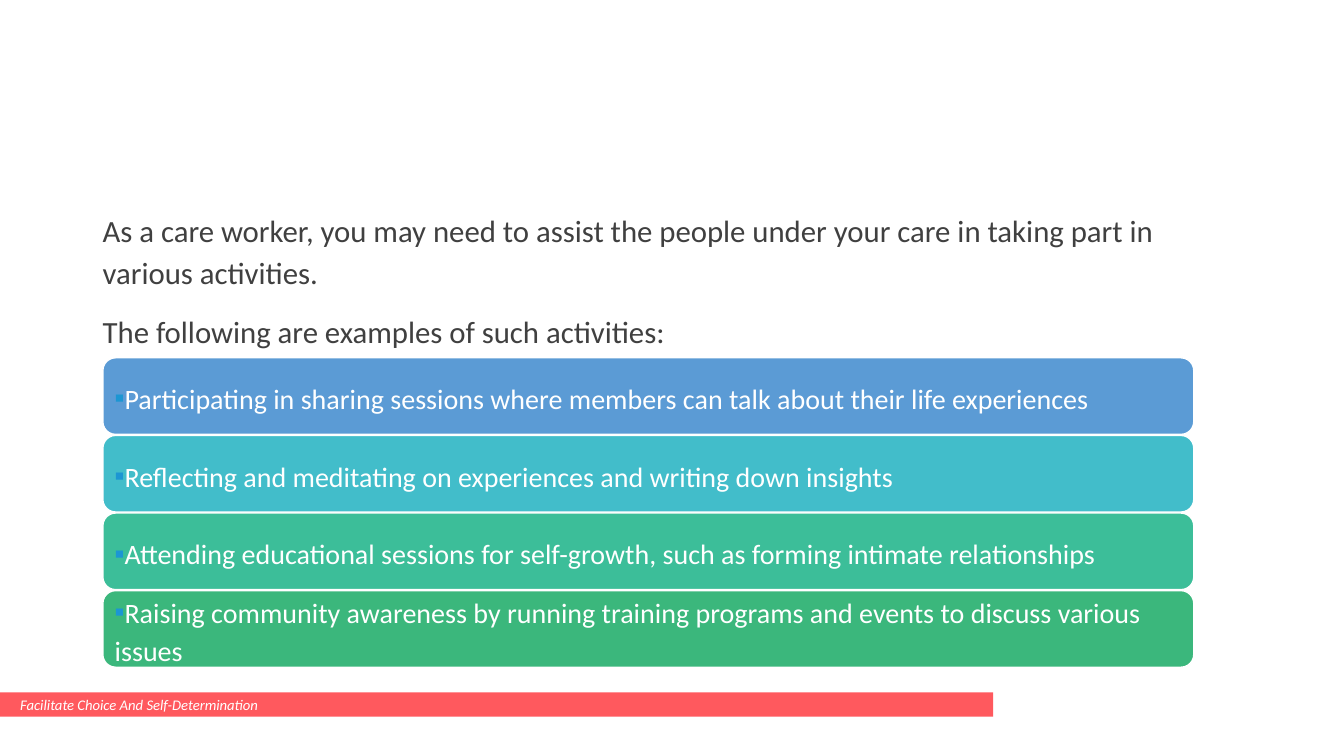
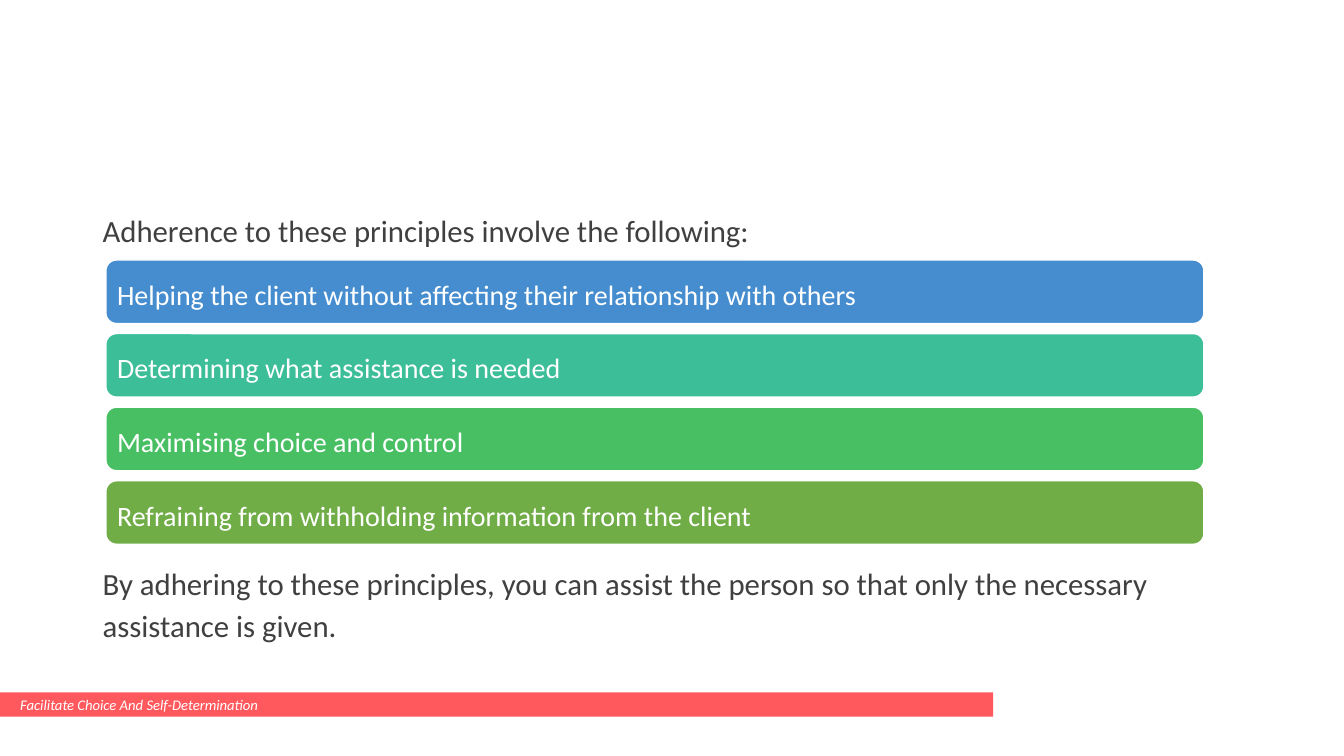
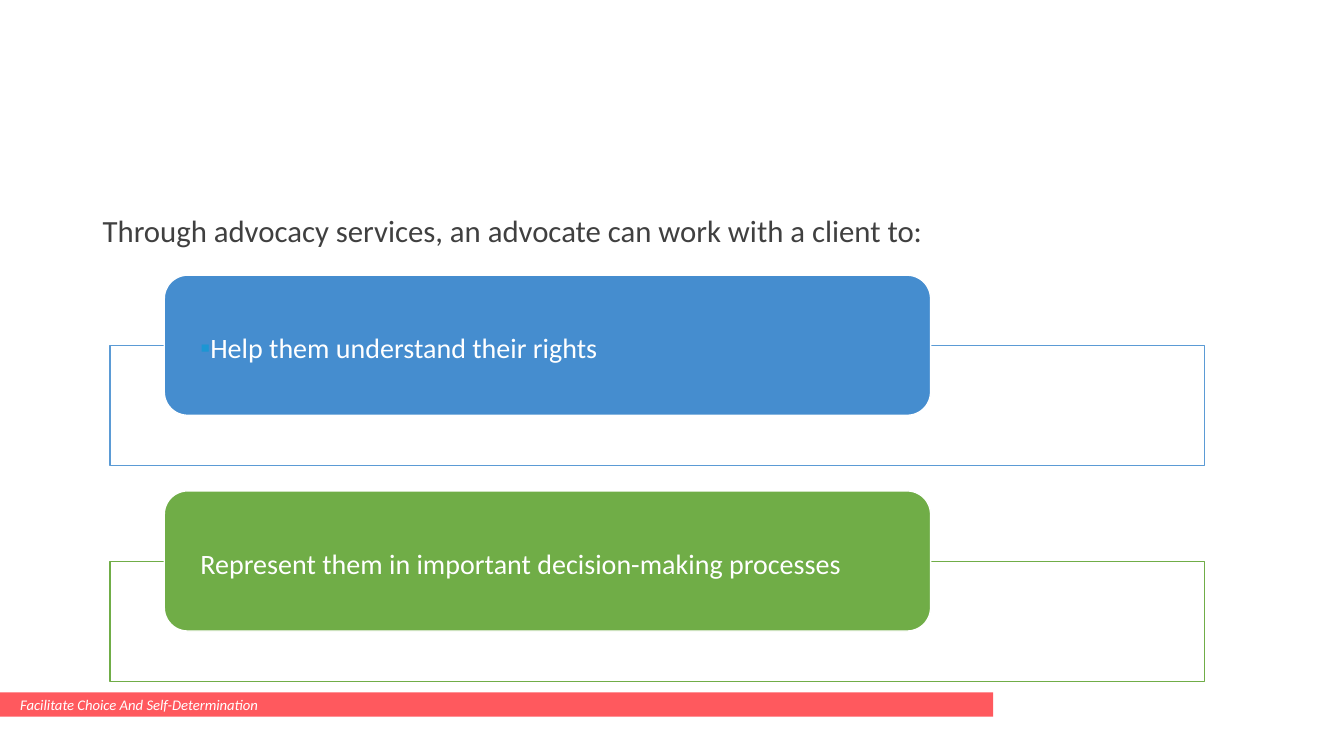
"""Build three care-worker slides with stacked colour bars and a shared footer."""
from dataclasses import dataclass

from lxml import etree
from pptx import Presentation
from pptx import util as u
from pptx.dml.color import RGBColor
from pptx.enum import shapes, text
from pptx.oxml import ns

PX = 9144
FONT = "Calibri"
WHITE = "FFFFFF"
BODY_COLOR = "404040"
FOOTER_COLOR = "FF595E"
BULLET_COLOR = "1C96D3"
BLUE = "458DCF"
FRAME_BLUE = "5B9BD5"
TEAL = "3CBE99"
GREEN = "70AD47"
LINE_SPACING = 1.14
RECTANGLE = shapes.MSO_SHAPE.RECTANGLE
ROUNDED = shapes.MSO_SHAPE.ROUNDED_RECTANGLE


@dataclass(frozen=True)
class Box:
    left: int
    top: int
    width: int
    height: int

    def below(self, distance: int) -> "Box":
        return Box(self.left, self.top + distance, self.width, self.height)

    def emu(self) -> list[int]:
        return [length * PX for length in (self.left, self.top, self.width, self.height)]


@dataclass(frozen=True)
class Bar:
    label: str
    fill: str
    bulleted: bool = False
    frame: str = ""


@dataclass(frozen=True)
class Stack:
    first: Box
    pitch: int
    inset_x: int
    inset_y: int
    bars: list[Bar]


@dataclass(frozen=True)
class Page:
    intro: list[str]
    stack: Stack
    closing: str = ""


BODY = Box(92, 200, 1103, 476)
CLOSING = Box(92, 550, 1103, 126)
FOOTER = Box(0, 687, 985, 24)
FRAME = Box(109, 343, 1086, 119)

PAGES = [
    Page(
        [
            "As a care worker, you may need to assist the people under your care in taking part in various activities.",
            "The following are examples of such activities:",
        ],
        Stack(Box(102, 355, 1082, 76), 77, 8, 8, [
            Bar("Participating in sharing sessions where members can talk about their life experiences", FRAME_BLUE, True),
            Bar("Reflecting and meditating on experiences and writing down insights", "42BDCA", True),
            Bar("Attending educational sessions for self-growth, such as forming intimate relationships", TEAL, True),
            Bar("Raising community awareness by running training programs and events to discuss various issues", "3BB77C", True),
        ]),
    ),
    Page(
        ["Adherence to these principles involve the following:"],
        Stack(Box(105, 258, 1089, 63), 73, 8, 8, [
            Bar("Helping the client without affecting their relationship with others", BLUE),
            Bar("Determining what assistance is needed", TEAL),
            Bar("Maximising choice and control", "49BF64"),
            Bar("Refraining from withholding information from the client", GREEN),
        ]),
        "By adhering to these principles, you can assist the person so that only the necessary assistance is given.",
    ),
    Page(
        ["Through advocacy services, an advocate can work with a client to:"],
        Stack(Box(163, 273, 760, 139), 214, 29, 0, [
            Bar("Help them understand their rights", BLUE, True, FRAME_BLUE),
            Bar("Represent them in important decision-making processes", GREEN, False, GREEN),
        ]),
    ),
]


def color(value: str) -> RGBColor:
    return RGBColor.from_string(value)


def set_font(paragraph, size: float, value: str, italic: bool = False) -> None:
    font = paragraph.font
    font.name = FONT
    font.size = u.Pt(size)
    font.color.rgb = color(value)
    font.italic = italic


def add_bullet(paragraph) -> None:
    properties = paragraph._p.get_or_add_pPr()
    properties.set("marL", "0")
    properties.set("indent", "0")
    bullet_color = etree.SubElement(properties, ns.qn("a:buClr"))
    etree.SubElement(bullet_color, ns.qn("a:srgbClr"), val=BULLET_COLOR)
    etree.SubElement(properties, ns.qn("a:buFont"), typeface=FONT)
    etree.SubElement(properties, ns.qn("a:buChar"), char="▪")


def add_panel(slide, kind, box: Box, fill: str, line: str = ""):
    shape = slide.shapes.add_shape(kind, *box.emu())
    shape.shadow.inherit = False
    shape.fill.solid()
    shape.fill.fore_color.rgb = color(fill)
    if line:
        shape.line.color.rgb = color(line)
        shape.line.width = u.Pt(1)
    else:
        shape.line.fill.background()
    return shape


def fill_panel(shape, label: str, inset_x: int, inset_y: int):
    frame = shape.text_frame
    frame.word_wrap = True
    frame.vertical_anchor = text.MSO_ANCHOR.MIDDLE
    frame.margin_left = frame.margin_right = inset_x * PX
    frame.margin_top = frame.margin_bottom = inset_y * PX
    paragraph = frame.paragraphs[0]
    paragraph.text = label
    paragraph.alignment = text.PP_ALIGN.LEFT
    return paragraph


def add_body(slide, box: Box, lines: list[str]) -> None:
    frame = slide.shapes.add_textbox(*box.emu()).text_frame
    frame.word_wrap = True
    for index, line in enumerate(lines):
        paragraph = frame.add_paragraph() if index else frame.paragraphs[0]
        paragraph.text = line
        paragraph.line_spacing = LINE_SPACING
        paragraph.space_before = u.Pt(6 if index else 0)
        paragraph.space_after = u.Pt(6)
        set_font(paragraph, 22, BODY_COLOR)


def add_footer(slide) -> None:
    shape = add_panel(slide, RECTANGLE, FOOTER, FOOTER_COLOR)
    paragraph = fill_panel(shape, "Facilitate Choice And Self-Determination", 20, 0)
    set_font(paragraph, 10.5, WHITE, italic=True)


def add_stack(slide, stack: Stack) -> None:
    for index, bar in enumerate(stack.bars):
        distance = index * stack.pitch
        if bar.frame:
            add_panel(slide, RECTANGLE, FRAME.below(distance), WHITE, bar.frame)
        shape = add_panel(slide, ROUNDED, stack.first.below(distance), bar.fill, WHITE)
        paragraph = fill_panel(shape, bar.label, stack.inset_x, stack.inset_y)
        paragraph.line_spacing = LINE_SPACING
        paragraph.space_after = u.Pt(6)
        if bar.bulleted:
            add_bullet(paragraph)
        set_font(paragraph, 20, WHITE)


def main() -> None:
    presentation = Presentation()
    presentation.slide_width = 1333 * PX
    presentation.slide_height = 750 * PX
    for page in PAGES:
        slide = presentation.slides.add_slide(presentation.slide_layouts[6])
        add_body(slide, BODY, page.intro)
        if page.closing:
            add_body(slide, CLOSING, [page.closing])
        add_footer(slide)
        add_stack(slide, page.stack)
    presentation.save("out.pptx")


if __name__ == "__main__":
    main()
